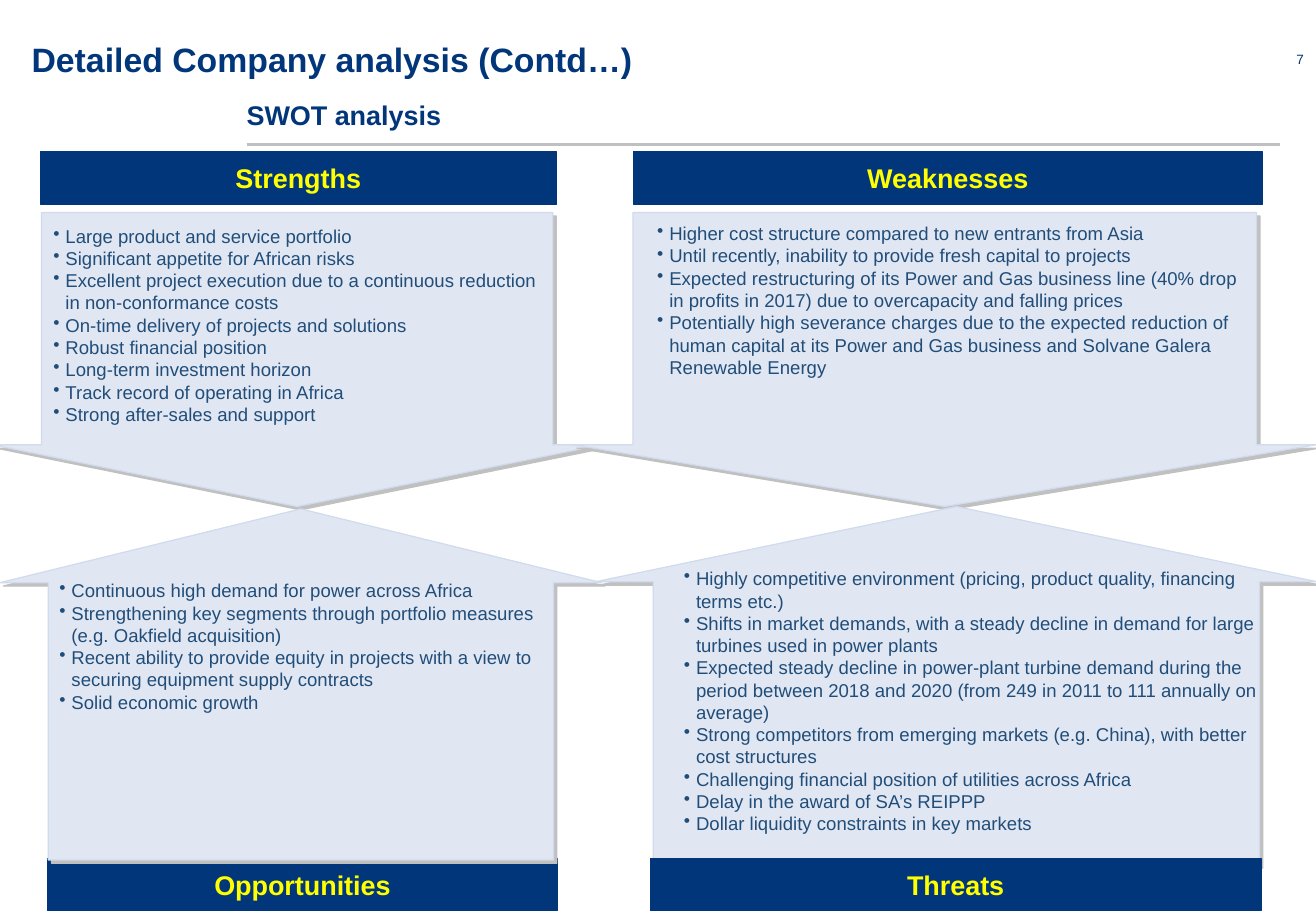
from dataclasses import dataclass

import pptx
import pptx.dml.color
import pptx.enum.shapes
import pptx.enum.text
import pptx.oxml.ns
import pptx.util
from lxml import etree

PX = 9144  # EMU per px, 100 px to the inch
Box = tuple[int, int, int, int]
Align = pptx.enum.text.PP_ALIGN
Anchor = pptx.enum.text.MSO_ANCHOR
Shape = pptx.enum.shapes.MSO_SHAPE


@dataclass(frozen=True)
class Theme:
    font: str = "Arial"
    navy: str = "02367A"
    yellow: str = "FFFF00"
    body: str = "214D79"
    panel: str = "E0E7F3"
    panel_edge: str = "D0DBED"
    grey: str = "C0C0C0"
    title_size: int = 20
    heading_size: int = 16
    body_size: int = 11
    number_size: int = 8


@dataclass(frozen=True)
class Quadrant:
    name: str
    banner: Box
    arrow: Box
    text: Box
    points: tuple[str, ...]
    points_up: bool = False
    banner_on_top: bool = True


THEME = Theme()

QUADRANTS = (
    Quadrant("Strengths", (33, 125, 425, 43), (-6, 175, 501, 242), (34, 180, 425, 177), (
        "Large product and service portfolio",
        "Significant appetite for African risks",
        "Excellent project execution due to a continuous reduction in non-conformance costs",
        "On-time delivery of projects and solutions",
        "Robust financial position",
        "Long-term investment horizon",
        "Track record of operating in Africa",
        "Strong after-sales and support",
    )),
    Quadrant("Weaknesses", (521, 125, 518, 43), (472, 175, 611, 242), (531, 178, 506, 140), (
        "Higher cost structure compared to new entrants from Asia",
        "Until recently, inability to provide fresh capital to projects",
        "Expected restructuring of its Power and Gas business line (40% drop in profits in 2017) "
        "due to overcapacity and falling prices",
        "Potentially high severance charges due to the expected reduction of human capital at its "
        "Power and Gas business and Solvane Galera Renewable Energy",
    )),
    Quadrant("Opportunities", (39, 707, 420, 43), (0, 419, 495, 289), (39, 472, 420, 140), (
        "Continuous high demand for power across Africa",
        "Strengthening key segments through portfolio measures (e.g. Oakfield acquisition)",
        "Recent ability to provide equity in projects with a view to securing equipment supply "
        "contracts",
        "Solid economic growth",
    ), points_up=True, banner_on_top=False),
    Quadrant("Threats", (535, 707, 503, 43), (490, 417, 594, 295), (553, 462, 506, 232), (
        "Highly competitive environment (pricing, product quality, financing terms etc.)",
        "Shifts in market demands, with a steady decline in demand for large turbines used in "
        "power plants",
        "Expected steady decline in power-plant turbine demand during the period between 2018 and "
        "2020 (from 249 in 2011 to 111 annually on average)",
        "Strong competitors from emerging markets (e.g. China), with better cost structures",
        "Challenging financial position of utilities across Africa",
        "Delay in the award of SA’s REIPPP",
        "Dollar liquidity constraints in key markets",
    ), points_up=True),
)


def rgb(value: str) -> pptx.dml.color.RGBColor:
    return pptx.dml.color.RGBColor.from_string(value)


def emu(box: Box) -> list[int]:
    return [v * PX for v in box]


def style(p, size: int, color: str, bold: bool = False) -> None:
    for r in p.runs:
        r.font.name = THEME.font
        r.font.size = pptx.util.Pt(size)
        r.font.bold = bold
        r.font.color.rgb = rgb(color)


def add_shape(s, kind, box: Box, fill: str, edge: str, width: float):
    sp = s.shapes.add_shape(kind, *emu(box))
    sp.shadow.inherit = False
    sp.fill.solid()
    sp.fill.fore_color.rgb = rgb(fill)
    sp.line.color.rgb = rgb(edge)
    sp.line.width = pptx.util.Pt(width)
    return sp


def add_label(s, text: str, box: Box, size: int, bold: bool = True):
    tf = s.shapes.add_textbox(*emu(box)).text_frame
    tf.text = text
    tf.word_wrap = True
    tf.margin_left = 0
    tf.vertical_anchor = Anchor.BOTTOM
    style(tf.paragraphs[0], size, THEME.navy, bold)
    return tf


def add_banner(s, q: Quadrant) -> None:
    sp = add_shape(s, Shape.RECTANGLE, q.banner, THEME.navy, THEME.navy, 0.5)
    tf = sp.text_frame
    tf.text = q.name
    tf.vertical_anchor = Anchor.MIDDLE
    p = tf.paragraphs[0]
    p.alignment = Align.CENTER
    p.space_after = pptx.util.Pt(6)
    style(p, THEME.heading_size, THEME.yellow, True)


def add_arrow(s, q: Quadrant) -> None:
    sp = add_shape(s, Shape.DOWN_ARROW, q.arrow, THEME.panel, THEME.panel_edge, 0.75)
    sp.adjustments[0], sp.adjustments[1] = 0.84, 0.21
    sp.rotation = 180 if q.points_up else 0
    # Hard grey shadow to the lower right
    qn = pptx.oxml.ns.qn
    effects = sp._element.spPr.find(qn("a:effectLst"))
    shadow = etree.SubElement(effects, qn("a:outerShdw"), dist=str(pptx.util.Pt(2.8)),
                              dir=str(45 * 60000), algn="ctr", rotWithShape="0")
    etree.SubElement(shadow, qn("a:srgbClr"), val=THEME.grey)


def add_bullets(s, q: Quadrant) -> None:
    tf = s.shapes.add_textbox(*emu(q.text)).text_frame
    tf.text = "\n".join(q.points)
    tf.word_wrap = True
    tf.auto_size = pptx.enum.text.MSO_AUTO_SIZE.SHAPE_TO_FIT_TEXT
    for p in tf.paragraphs:
        style(p, THEME.body_size, THEME.body)
        pPr = p._p.get_or_add_pPr()
        pPr.set("marL", str(10 * PX))
        pPr.set("indent", str(-10 * PX))
        etree.SubElement(pPr, pptx.oxml.ns.qn("a:buChar"), char="•")


def add_rule(s, x1: int, x2: int, y: int) -> None:
    line = s.shapes.add_connector(pptx.enum.shapes.MSO_CONNECTOR.STRAIGHT,
                                  *emu((x1, y, x2, y)))
    line.line.color.rgb = rgb(THEME.grey)
    line.line.width = pptx.util.Pt(1.5)
    etree.SubElement(line._element.spPr, pptx.oxml.ns.qn("a:effectLst"))


def main() -> None:
    prs = pptx.Presentation()
    prs.slide_width, prs.slide_height = 1083 * PX, 750 * PX
    s = prs.slides.add_slide(prs.slide_layouts[6])

    # Headings and page number
    add_label(s, "Detailed Company analysis (Contd…)", (26, 12, 1028, 58), THEME.title_size)
    add_label(s, "SWOT analysis", (203, 80, 850, 33), THEME.heading_size)
    add_rule(s, 203, 1053, 119)
    number = add_label(s, "7", (1045, 42, 28, 16), THEME.number_size, bold=False)
    number.margin_top = number.margin_right = number.margin_bottom = 0
    number.word_wrap = False
    number.vertical_anchor = Anchor.TOP
    number.paragraphs[0].alignment = Align.RIGHT

    # SWOT quadrants
    for q in QUADRANTS:
        parts = (add_arrow, add_banner) if q.banner_on_top else (add_banner, add_arrow)
        for draw in (*parts, add_bullets):
            draw(s, q)

    prs.save("out.pptx")


if __name__ == "__main__":
    main()
